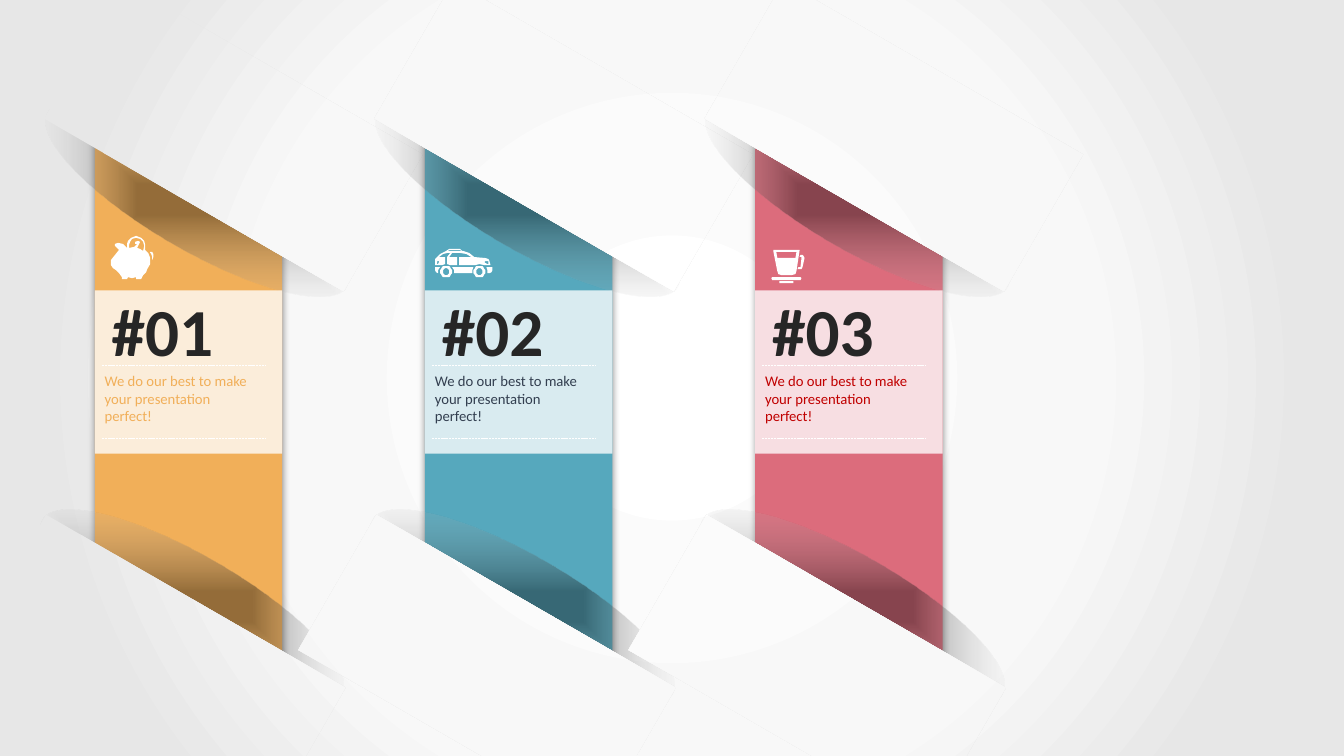
import math

import pptx
import pptx.dml.color
import pptx.enum.dml
import pptx.enum.shapes
import pptx.enum.text
import pptx.oxml
import pptx.oxml.ns
import pptx.util

Inches = pptx.util.Inches
RGBColor = pptx.dml.color.RGBColor
SHAPE = pptx.enum.shapes.MSO_SHAPE
NAMESPACE = pptx.oxml.ns.nsdecls("a")

COLORS = {
    "white": "FFFFFF", "number": "262626", "shade": "0D0D0D", "shadow": "000000",
    "orange": "F1AF59", "teal": "56A8BD", "pink": "DC6C7C",
    "slate": "333F50", "red": "C00000",
    "center": "FFFFFF", "inner": "FBFBFB", "middle": "F8F8F8", "rim": "E7E7E7",
}
BACKDROP = [(0, "center", 100), (37, "inner", 100), (54, "middle", 100), (83, "rim", 100)]
SHADE = [(12, "shade", 40), (100, "white", 0)]


def set_path_gradient(owner, query, stops, path_kind):
    """Replace the solid fill found by query with a gradient that runs out from the centre."""
    solid_fill = owner.xpath(query)[0]
    stop_xml = "".join(
        f'<a:gs pos="{position * 1000}"><a:srgbClr val="{COLORS[color]}">'
        f'<a:alpha val="{alpha * 1000}"/></a:srgbClr></a:gs>'
        for position, color, alpha in stops)
    gradient = pptx.oxml.parse_xml(
        f'<a:gradFill {NAMESPACE} rotWithShape="1"><a:gsLst>{stop_xml}</a:gsLst>'
        f'<a:path path="{path_kind}"><a:fillToRect l="50000" t="50000" r="50000" b="50000"/>'
        '</a:path></a:gradFill>')
    solid_fill.getparent().replace(solid_fill, gradient)


def paint(shape, color):
    shape.shadow.inherit = False
    shape.line.fill.background()
    shape.fill.solid()
    shape.fill.fore_color.rgb = RGBColor.from_string(COLORS[color])


# Icon outlines in hundredths of an inch: x from the panel's left side, y from the slide's top
wheels = [[(x + radius * math.cos(math.radians(angle)), 269.5 + radius * math.sin(math.radians(angle)))
           for angle in range(0, 360, 15)]
          for x in (21, 54) for radius in (5.8, 3.2)]
piggy_bank = [
    [(52, 267), (51, 270), (48, 273), (46, 277), (41, 277), (41, 275), (37, 276), (33, 275),
     (32, 277), (27, 277), (27, 275), (24, 271), (21, 268), (18, 266), (16, 263), (16, 258),
     (20, 253), (24, 248), (20, 244), (20, 242), (23, 241), (28, 242), (32, 246), (32, 242),
     (33, 239), (36, 235.5), (41, 234), (46, 236), (49, 239), (50.5, 243), (50, 248),
     (53, 251), (55, 256), (55, 262)],
    [(34, 246), (39, 245), (42, 242), (40, 242), (40, 240), (43, 239), (45, 240), (42, 246),
     (45, 247), (48, 249), (49, 244), (48, 240), (45, 237), (41, 236), (37, 237), (35, 240),
     (33.5, 243)],
    [(57, 258), (57, 255), (56, 252), (55, 251), (55, 250), (57, 250), (58.5, 252), (58.5, 255)],
]
car = wheels + [
    [(27, 265), (48, 265), (47, 268), (47, 271), (29, 271), (29, 268)],
    [(61, 265), (67, 265), (67, 268), (66, 270), (64, 271), (62, 271), (62, 268)],
    [(15, 265), (10, 265), (10, 268), (11, 270), (13, 271), (13, 268)],
    [(64, 259), (63, 257), (60, 256), (49, 255), (44, 251), (38, 249), (37, 249), (35, 247),
     (24, 247), (21, 249), (15, 252), (10, 257), (10, 263), (17, 263), (20, 262), (20, 255),
     (14, 255), (18, 252), (22, 251), (25, 251), (22, 255), (22, 262), (25, 263), (32, 263),
     (32, 255), (24, 255), (27, 251), (35, 251), (41, 252), (46, 255), (34, 255), (34, 263),
     (50, 263), (54, 262), (59, 263), (65, 263)],
    [(14, 260), (13, 262), (12, 262), (12, 259), (14, 259)],
    [(22, 249), (24, 248), (35, 248), (36, 249)],
    [(62, 262), (60, 261), (59, 260), (60, 259), (63, 259), (63, 262)],
]
cup = [
    [(18, 248), (18, 249), (22, 269), (23, 272), (26, 273), (36, 273), (40, 272), (41, 269),
     (44, 249), (44, 248)],
    [(40, 256), (22, 256), (21, 250), (41, 250)],
    [(49, 256), (47, 265), (46, 267), (42, 267), (43, 265), (45, 265), (46.5, 256), (46, 255),
     (44, 255), (45, 253), (47, 253), (48.5, 254)],
    [(17, 275), (45, 275), (46, 276), (45, 278), (17, 278), (16, 276)],
    [(24, 279), (38, 279), (38, 281), (24, 281)],
]
panels = [
    ("#01", "orange", "orange", piggy_bank),
    ("#02", "teal", "slate", car),
    ("#03", "pink", "red", cup),
]
# Offset from the panel's left side and top of each shade, then offset, top and height of its cover
folds = [(-0.70, 1.48, -0.34, 0.57, 1.57), (-0.75, 5.52, -1.10, 5.86, 1.55)]

presentation = pptx.Presentation()
presentation.slide_width = Inches(13.33)
presentation.slide_height = Inches(7.5)
slide = presentation.slides.add_slide(presentation.slide_layouts[6])
slide.background.fill.solid()
set_path_gradient(slide._element, ".//p:bgPr/a:solidFill", BACKDROP, "circle")

for index, (number, panel_color, text_color, icon) in enumerate(panels):
    left = 0.94 + 3.275 * index

    panel = slide.shapes.add_shape(
        SHAPE.RECTANGLE, Inches(left), Inches(1.15), Inches(1.86), Inches(5.75))
    paint(panel, panel_color)
    panel._element.spPr.find(pptx.oxml.ns.qn("a:effectLst")).append(pptx.oxml.parse_xml(
        f'<a:outerShdw {NAMESPACE} blurRad="63500" dist="0" dir="0" algn="ctr" rotWithShape="0">'
        f'<a:srgbClr val="{COLORS["shadow"]}"><a:alpha val="40000"/></a:srgbClr></a:outerShdw>'))

    for shade_offset, shade_top, cover_offset, cover_top, cover_height in folds:
        fold = slide.shapes.add_group_shape()
        shade = fold.shapes.add_shape(
            SHAPE.OVAL, Inches(left + shade_offset), Inches(shade_top), Inches(3.43), Inches(1))
        paint(shade, "shade")
        set_path_gradient(shade._element, "./p:spPr/a:solidFill", SHADE, "shape")
        cover = fold.shapes.add_shape(
            SHAPE.RECTANGLE, Inches(left + cover_offset), Inches(cover_top),
            Inches(3.43), Inches(cover_height))
        cover.shadow.inherit = False
        cover.line.fill.background()
        cover._element.set("useBgFill", "1")  # shows the slide background
        shade.rotation = cover.rotation = 30

    band = slide.shapes.add_shape(
        SHAPE.RECTANGLE, Inches(left), Inches(2.88), Inches(1.86), Inches(1.62))
    paint(band, "white")
    band._element.xpath("./p:spPr/a:solidFill/a:srgbClr")[0].append(
        pptx.oxml.parse_xml(f'<a:alpha {NAMESPACE} val="78000"/>'))

    texts = [
        (number, (0.07, 2.82, 1.22, 0.91), False, 48, True, "number"),
        ("We do our best to make your presentation perfect!",
         (0, 3.64, 1.62, 0.63), True, 10.5, False, text_color),
    ]
    for text, (offset, top, width, height), wrap, size, bold, color in texts:
        box = slide.shapes.add_textbox(
            Inches(left + offset), Inches(top), Inches(width), Inches(height))
        box.text_frame.word_wrap = wrap
        box.text_frame.auto_size = pptx.enum.text.MSO_AUTO_SIZE.SHAPE_TO_FIT_TEXT
        paragraph = box.text_frame.paragraphs[0]
        run = paragraph.add_run()
        run.text = text
        font_format = {"name": "Calibri", "size": pptx.util.Pt(size), "bold": bold}
        for attribute, value in font_format.items():
            setattr(run.font, attribute, value)
        run.font.color.rgb = RGBColor.from_string(COLORS[color])

    for rule_top in (3.62, 4.35):
        rule = slide.shapes.add_connector(
            pptx.enum.shapes.MSO_CONNECTOR.STRAIGHT, Inches(left + 0.07), Inches(rule_top),
            Inches(left + 1.69), Inches(rule_top))
        rule.line.color.rgb = RGBColor.from_string(COLORS["white"])
        rule.line.width = pptx.util.Pt(0.5)
        rule.line.dash_style = pptx.enum.dml.MSO_LINE.SQUARE_DOT
        rule._element.spPr.append(pptx.oxml.parse_xml(f"<a:effectLst {NAMESPACE}/>"))

    builder = slide.shapes.build_freeform(*icon[0][0], scale=Inches(0.01))
    builder.add_line_segments(icon[0][1:])
    for contour in icon[1:]:
        builder.move_to(*contour[0])
        builder.add_line_segments(contour[1:])
    paint(builder.convert_to_shape(Inches(left), 0), "white")

presentation.save("out.pptx")
